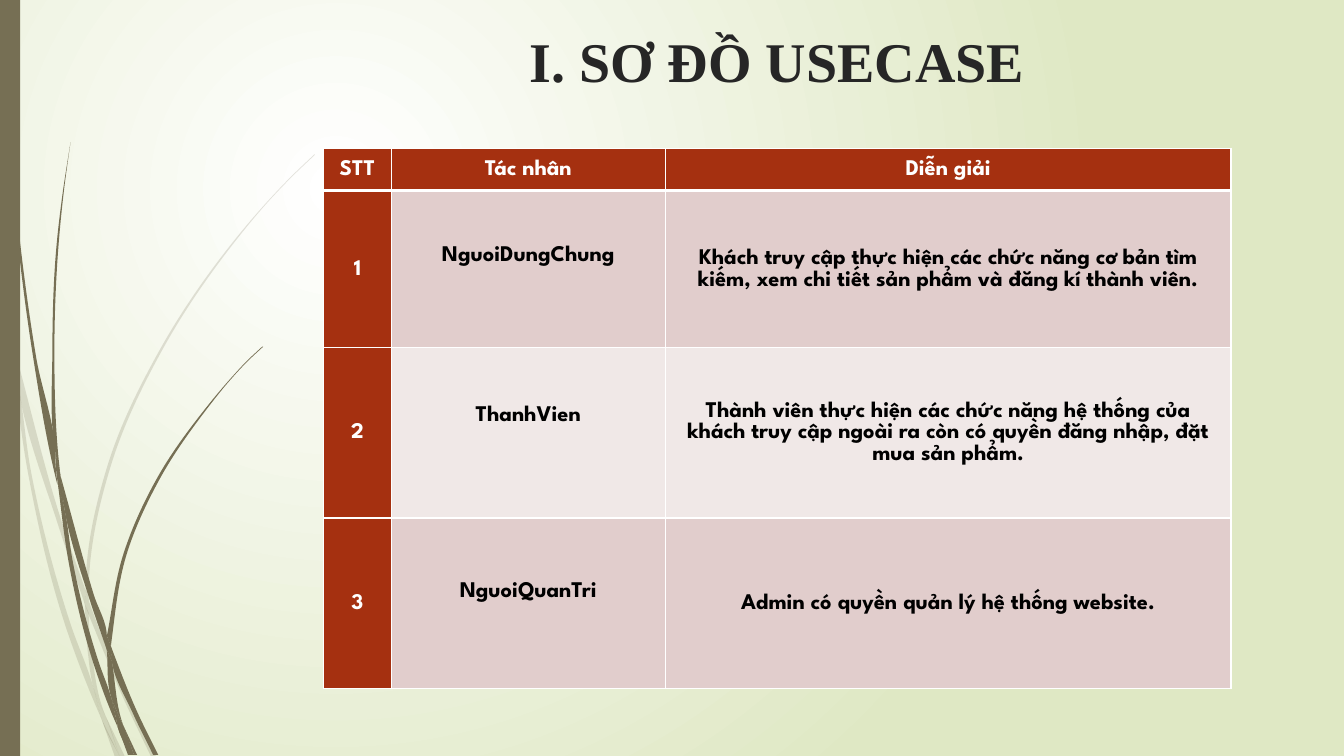
from dataclasses import dataclass
from math import dist

from lxml import etree
from pptx import Presentation
from pptx.dml.color import RGBColor
from pptx.enum.shapes import MSO_SHAPE
from pptx.enum.text import MSO_ANCHOR, PP_ALIGN
from pptx.oxml.ns import qn
from pptx.util import Emu, Pt

SCALE = 9144
WIDTH, HEIGHT = 1333, 750

RECTANGLE = MSO_SHAPE.RECTANGLE
CENTER = PP_ALIGN.CENTER
TOP, MIDDLE = MSO_ANCHOR.TOP, MSO_ANCHOR.MIDDLE

WHITE = RGBColor(0xFF, 0xFF, 0xFF)
BLACK = RGBColor(0x00, 0x00, 0x00)
CHARCOAL = RGBColor(0x26, 0x26, 0x26)
PALE_GREEN = RGBColor(0xDF, 0xE8, 0xC4)
OLIVE = RGBColor(0x76, 0x6F, 0x54)
RUST = RGBColor(0xA5, 0x30, 0x10)
ROSE = RGBColor(0xE1, 0xCD, 0xCC)
PALE_ROSE = RGBColor(0xF0, 0xE8, 0xE7)

TITLE_FONT = "Times New Roman"
TABLE_FONT = "League Spartan"

Point = tuple[float, float]


@dataclass(frozen=True)
class Blade:
    """A piece of grass bounded by two edges that run downwards."""
    left: list[Point]
    right: list[Point]


@dataclass(frozen=True)
class Actor:
    """A table row about one actor, with the name lifted by a bottom margin."""
    name: str
    meaning: str
    height: int
    lift: int


FAINT_GRASS = [
    Blade([(0, 299), (10, 344), (11, 350)], [(0, 282), (9, 322), (11, 350)]),
    Blade([(14, 345), (17, 376), (58, 522), (84, 599)], [(14, 345), (62, 520), (85, 586)]),
    Blade([(88, 610), (123, 694), (150, 751)], [(88, 596), (92, 607), (127, 692), (155, 751)]),
    Blade([(105, 711), (119, 751)], [(105, 711), (124, 751)]),
    Blade([(11, 350), (28, 470), (65, 621), (92, 693), (101, 714)],
          [(11, 350), (17, 376), (31, 469), (70, 619), (93, 683), (99, 707), (101, 714)]),
    Blade([(84, 599), (87, 646), (93, 683), (96, 692), (105, 711)],
          [(88, 608), (88, 610), (91, 646), (103, 706), (105, 711)]),
    Blade([(312, 153), (289, 175), (268, 197), (228, 244), (158, 348), (107, 461), (85, 584), (85, 586)],
          [(312, 154), (290, 175), (268, 198), (229, 245), (160, 349), (110, 462), (88, 584), (88, 596)]),
    Blade([(101, 714), (114, 751)], [(101, 714), (119, 751)]),
    Blade([(85, 586), (84, 599)], [(88, 596), (88, 610)]),
    Blade([(93, 683), (99, 707), (101, 714), (119, 751)], [(93, 683), (96, 692), (105, 711), (119, 751)]),
]
DARK_GRASS = [
    Blade([(3, 0), (4, 48), (7, 110), (17, 233), (33, 355), (56, 477), (57, 481)],
          [(4, 0), (5, 48), (8, 109), (19, 232), (36, 355), (55, 453), (55, 457), (57, 481)]),
    Blade([(60, 472), (64, 505), (88, 592), (106, 645)], [(60, 472), (93, 590), (106, 631), (106, 633)]),
    Blade([(110, 641), (111, 656), (132, 708), (152, 749)], [(110, 641), (113, 649), (136, 706), (157, 749)]),
    Blade([(57, 477), (68, 557), (93, 659), (111, 708), (117, 722)],
          [(57, 477), (64, 505), (72, 556), (98, 657), (110, 691), (116, 717), (117, 722)]),
    Blade([(70, 141), (62, 193), (56, 245), (52, 349), (55, 449), (60, 472)],
          [(70, 141), (63, 193), (58, 245), (54, 349), (58, 453), (60, 472)]),
    Blade([(122, 719), (133, 749)], [(122, 719), (136, 749)]),
    Blade([(55, 449), (55, 453), (57, 477), (64, 505)], [(55, 449), (60, 472), (64, 505)]),
    Blade([(260, 344), (245, 358), (231, 373), (204, 405), (156, 474), (122, 551), (106, 631)],
          [(261, 344), (245, 359), (231, 374), (205, 406), (158, 476), (125, 552), (111, 633), (110, 641)]),
    Blade([(117, 722), (127, 749)], [(117, 722), (131, 749)]),
    Blade([(106, 645), (110, 691), (116, 706), (122, 719)], [(111, 656), (121, 716), (122, 719)]),
    Blade([(106, 631), (106, 633), (106, 645)], [(106, 631), (110, 641), (111, 656)]),
    Blade([(110, 691), (116, 717), (117, 722), (130, 749)], [(110, 691), (116, 706), (122, 719), (133, 749)]),
]

HEADINGS = ["STT", "Tác nhân", "Diễn giải"]
HEADING_HEIGHT = 42
COLUMN_WIDTHS = [67, 272, 561]
ACTORS = [
    Actor("NguoiDungChung", "Khách truy cập thực hiện các chức năng cơ bản tìm kiếm, "
          "xem chi tiết sản phẩm và đăng kí thành viên.", 156, 28),
    Actor("ThanhVien", "Thành viên thực hiện các chức năng hệ thống của khách truy cập "
          "ngoài ra còn có quyền đăng nhập, đặt mua sản phẩm.", 169, 34),
    Actor("NguoiQuanTri", "Admin có quyền quản lý hệ thống website.", 169, 24),
]


def px(length: float) -> Emu:
    """Turn px into EMU."""
    return Emu(round(length * SCALE))


def curve(points: list[Point]) -> list[Point]:
    """Give two handles and an end point for each segment of a smooth edge."""
    gaps = [dist(a, b) for a, b in zip(points, points[1:])]
    slopes = [((c - a) / gap, (d - b) / gap) for (a, b), (c, d), gap in zip(points, points[1:], gaps)]
    inner = [tuple((s * after + t * before) / (before + after) for s, t in zip(first, second))
             for first, second, before, after in zip(slopes, slopes[1:], gaps, gaps[1:])]
    tangents = [slopes[0], *inner, slopes[-1]]
    handles = []
    for i, gap in enumerate(gaps):
        (x, y), (u, v) = points[i], tangents[i]
        (end_x, end_y), (end_u, end_v) = points[i + 1], tangents[i + 1]
        reach = gap / 3
        handles += [(x + u * reach, y + v * reach),
                    (end_x - end_u * reach, end_y - end_v * reach), (end_x, end_y)]
    return handles


def paint(shape, color: RGBColor, opacity: int = 100) -> None:
    """Give a shape a flat fill without line or shadow."""
    shape.shadow.inherit = False
    shape.line.fill.background()
    shape.fill.solid()
    shape.fill.fore_color.rgb = color
    if opacity < 100:
        tint = shape.element.spPr.find(qn("a:solidFill")).find(qn("a:srgbClr"))
        etree.SubElement(tint, qn("a:alpha"), val=str(opacity * 1000))


def paint_background(page) -> None:
    """Fill the page with a circular gradient."""
    fill = page.background.fill
    fill.gradient()
    for stop, color in zip(fill.gradient_stops, (WHITE, PALE_GREEN)):
        stop.color.rgb = color
    linear = page.element.xpath(".//p:bg//a:lin")[0]
    circle = etree.Element(qn("a:path"), path="circle")
    etree.SubElement(circle, qn("a:fillToRect"), l="50000", t="50000", r="100000", b="100000")
    linear.getparent().replace(linear, circle)


def draw_grass(page, blades: list[Blade], opacity: int = 100) -> None:
    """Draw one group of grass pieces with curved outlines."""
    group = page.shapes.add_group_shape()
    for blade in blades:
        outline = curve(blade.left)
        if blade.left[-1] != blade.right[-1]:
            outline += curve([blade.left[-1], blade.right[-1]])
        outline += curve(blade.right[::-1])
        builder = group.shapes.build_freeform(*map(px, blade.left[0]))
        builder.add_line_segments([(px(x), px(y)) for x, y in outline], close=True)
        shape = builder.convert_to_shape()
        lines = shape.element.xpath(".//a:lnTo")
        for first, second, third in zip(lines[::3], lines[1::3], lines[2::3]):
            first.tag = qn("a:cubicBezTo")
            for line in (second, third):
                first.append(line[0])
                line.getparent().remove(line)
        paint(shape, OLIVE, opacity)


def format_text(frame, font: str, size: int, color: RGBColor) -> None:
    """Center the text and make it bold in the given font."""
    for para in frame.paragraphs:
        para.alignment = CENTER
        for span in para.runs:
            span.font.name = font
            span.font.size = Pt(size)
            span.font.bold = True
            span.font.color.rgb = color


def draw_title(page, text: str) -> None:
    """Write the page title."""
    box = page.shapes.add_textbox(px(283), px(21), px(975), px(140))
    frame = box.text_frame
    frame.word_wrap = True
    frame.vertical_anchor = TOP
    frame.text = text
    format_text(frame, TITLE_FONT, 40, CHARCOAL)


def draw_borders(cell, top: int, bottom: int) -> None:
    """Frame a cell in white, with line widths in points."""
    properties = cell._tc.get_or_add_tcPr()
    sides = {"a:lnL": 1, "a:lnR": 1, "a:lnT": top, "a:lnB": bottom}
    for index, (side, width) in enumerate(sides.items()):
        line = etree.Element(qn(side), w=str(Pt(width)))
        solid = etree.SubElement(line, qn("a:solidFill"))
        etree.SubElement(solid, qn("a:srgbClr"), val=str(WHITE))
        properties.insert(index, line)


def fill_cell(cell, text: str, fill: RGBColor, color: RGBColor, lift: int = 0) -> None:
    """Write and color one table cell."""
    cell.text = text
    cell.vertical_anchor = MIDDLE
    cell.margin_left = cell.margin_right = px(10)
    cell.margin_top, cell.margin_bottom = px(0), px(lift)
    cell.fill.solid()
    cell.fill.fore_color.rgb = fill
    format_text(cell.text_frame, TABLE_FONT, 16, color)
    para = cell.text_frame.paragraphs[0]
    para.line_spacing = 1.07
    para.space_after = Pt(8)


def draw_table(page) -> None:
    """Draw the table of actors."""
    heights = [HEADING_HEIGHT] + [actor.height for actor in ACTORS]
    table = page.shapes.add_table(len(heights), len(COLUMN_WIDTHS), px(321), px(147),
                                  px(sum(COLUMN_WIDTHS)), px(sum(heights))).table
    for column, width in zip(table.columns, COLUMN_WIDTHS):
        column.width = px(width)
    for row, height in zip(table.rows, heights):
        row.height = px(height)
    for index, heading in enumerate(HEADINGS):
        fill_cell(table.cell(0, index), heading, RUST, WHITE)
        draw_borders(table.cell(0, index), 1, 3)
    for number, actor in enumerate(ACTORS, 1):
        band = ROSE if number % 2 else PALE_ROSE
        fill_cell(table.cell(number, 0), str(number), RUST, WHITE)
        fill_cell(table.cell(number, 1), actor.name, band, BLACK, actor.lift)
        fill_cell(table.cell(number, 2), actor.meaning, band, BLACK)
        for index in range(len(HEADINGS)):
            draw_borders(table.cell(number, index), 3 if number == 1 else 1, 1)


deck = Presentation()
deck.slide_width, deck.slide_height = px(WIDTH), px(HEIGHT)
cover = deck.slides.add_slide(deck.slide_layouts[6])
paint_background(cover)
draw_grass(cover, FAINT_GRASS, 20)
draw_grass(cover, DARK_GRASS)
paint(cover.shapes.add_shape(RECTANGLE, px(0), px(0), px(20), px(HEIGHT)), OLIVE)
draw_title(cover, "I. SƠ ĐỒ USECASE")
draw_table(cover)
deck.save("out.pptx")
